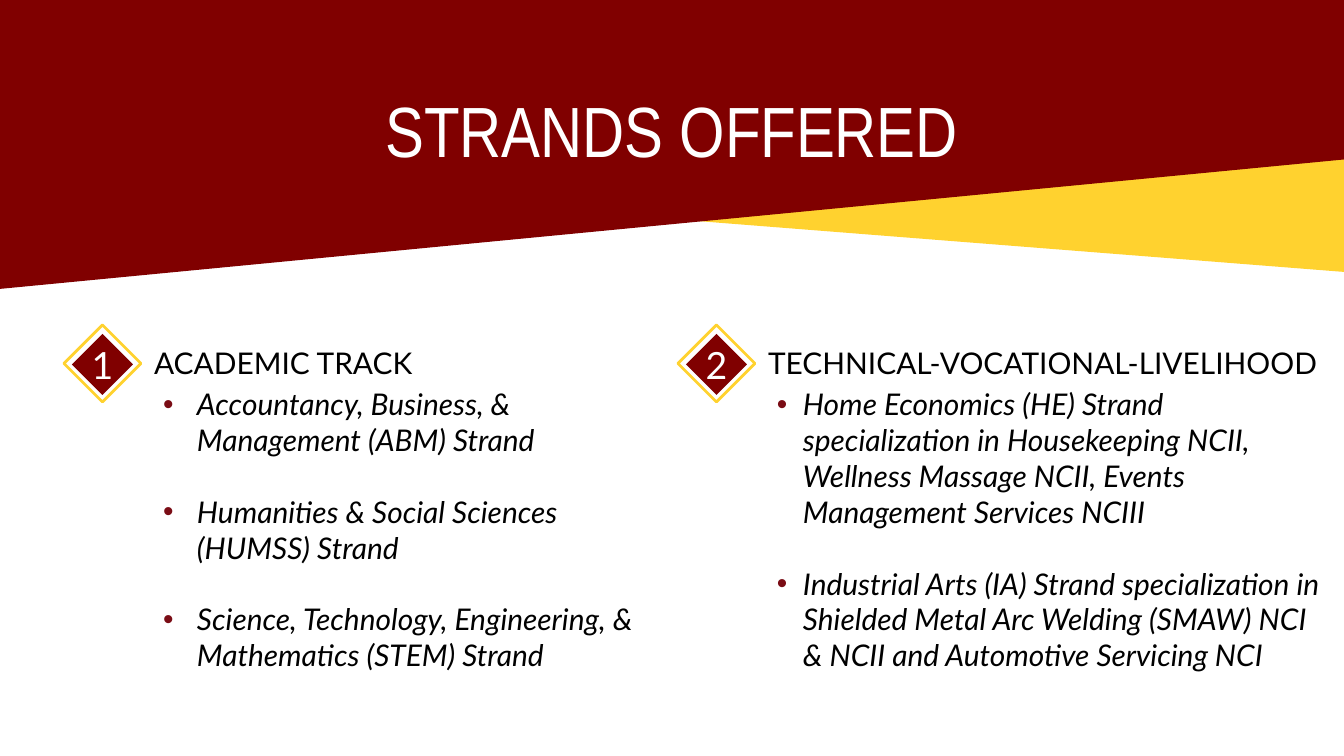
"""Build the Strands Offered slide with two numbered tracks."""
from lxml import etree
from pptx import Presentation
from pptx.dml.color import RGBColor
from pptx.enum.shapes import MSO_SHAPE
from pptx.enum.text import MSO_ANCHOR, MSO_AUTO_SIZE, PP_ALIGN
from pptx.oxml.ns import qn
from pptx.util import Emu, Pt

RECTANGLE, DIAMOND = MSO_SHAPE.RECTANGLE, MSO_SHAPE.DIAMOND
CENTER, LEFT = PP_ALIGN.CENTER, PP_ALIGN.LEFT
TOP, NO_FIT = MSO_ANCHOR.TOP, MSO_AUTO_SIZE.NONE
SCALE = 914400 / 67.2
MAROON, GOLD, WHITE, BLACK, BULLET = "800000", "FFD22F", "FFFFFF", "000000", "7A0C15"

TITLE = "STRANDS OFFERED"
TRACKS = [
    {"left": 64, "width": 514, "indent": 46, "hang": 34, "heading": "ACADEMIC TRACK",
     "strands": ["Accountancy, Business, & Management (ABM) Strand",
                 "Humanities & Social Sciences (HUMSS) Strand",
                 "Science, Technology, Engineering, & Mathematics (STEM) Strand"]},
    {"left": 678, "width": 558, "indent": 38, "hang": 26,
     "heading": "TECHNICAL-VOCATIONAL-LIVELIHOOD",
     "strands": ["Home Economics (HE) Strand specialization in Housekeeping NCII, "
                 "Wellness Massage NCII, Events Management Services NCIII",
                 "Industrial Arts (IA) Strand specialization in Shielded Metal Arc "
                 "Welding (SMAW) NCI & NCII and Automotive Servicing NCI"]},
]
BANDS = [((-64, -231, 1794, 462), 4.5, GOLD), ((-172, -244, 1794, 462), 354.5, MAROON)]

TITLE_STYLE = {"name": "Arial Narrow", "size": Pt(76.2), "bold": False}
HEADING_STYLE = {"name": "Lato", "size": Pt(32), "bold": False}
STRAND_STYLE = {**HEADING_STYLE, "italic": True}
NUMBER_STYLE = {"name": "Lato", "size": Pt(40.1)}


def px(length):
    return Emu(round(length * SCALE))


def color(value):
    return RGBColor.from_string(value)


def place(box, area):
    for name, length in zip(("left", "top", "width", "height"), area):
        setattr(box, name, px(length))


def write(box, area, texts, style, ink, align=LEFT, spacing=None, gap=0):
    place(box, area)
    frame = box.text_frame
    settings = {"margin_left": 0, "margin_top": 0, "margin_right": 0, "margin_bottom": 0,
                "word_wrap": True, "auto_size": NO_FIT, "vertical_anchor": TOP}
    for name, value in settings.items():
        setattr(frame, name, value)
    for index, text in enumerate(texts):
        para = frame.add_paragraph() if index else frame.paragraphs[0]
        para.alignment = align
        para.line_spacing = spacing or 1.0
        para.space_before = Pt(gap if index else 0)
        span = para.add_run()
        span.text = text
        for name, value in style.items():
            setattr(span.font, name, value)
        span.font.color.rgb = color(ink)
    return frame.paragraphs


def add_bullet(para, indent, hang):
    props = para._p.get_or_add_pPr()
    props.set("marL", str(px(indent)))
    props.set("indent", str(-px(hang)))
    tint = etree.SubElement(props, qn("a:buClr"))
    etree.SubElement(tint, qn("a:srgbClr"), val=BULLET)
    etree.SubElement(props, qn("a:buFont"), typeface="Arial")
    etree.SubElement(props, qn("a:buChar"), char="•")


def add_plain(page, kind, area, fill=None, line=None):
    shape = page.shapes.add_shape(kind, *map(px, area))
    shape.shadow.inherit = False
    if fill:
        shape.fill.solid()
        shape.fill.fore_color.rgb = color(fill)
    else:
        shape.fill.background()
    if line:
        shape.line.color.rgb = color(line)
        shape.line.width = Pt(3)
    else:
        shape.line.fill.background()
    return shape


def add_track(page, number, track, heading, strands):
    left, width = track["left"], track["width"]
    write(heading, (left + 90, 349, width, 31), [track["heading"]], HEADING_STYLE, BLACK,
          spacing=Pt(33.3))
    for para in write(strands, (left + 87, 386, width, 290), track["strands"],
                      STRAND_STYLE, BLACK, gap=38.4):
        add_bullet(para, track["indent"], track["hang"])
    add_plain(page, DIAMOND, (left, 325, 77, 77), line=GOLD)
    add_plain(page, DIAMOND, (left + 8, 334, 61, 61), fill=MAROON)
    label = page.shapes.add_textbox(0, 0, 0, 0)
    write(label, (left + 13, 342, 51, 44), [str(number)], NUMBER_STYLE, WHITE, CENTER, Pt(48.1))


def main():
    deck = Presentation()
    deck.slide_width, deck.slide_height = px(1344), px(756)
    page = deck.slides.add_slide(deck.slide_layouts.get_by_name("Comparison"))
    for placeholder in list(page.placeholders):
        if placeholder.placeholder_format.idx > 4:
            placeholder._element.getparent().remove(placeholder._element)
    for depth, (area, angle, fill) in enumerate(BANDS):
        band = add_plain(page, RECTANGLE, area, fill=fill)
        band.rotation = angle
        page.shapes._spTree.insert(2 + depth, band._element)
    title, *bodies = page.placeholders
    write(title, (191, 94, 962, 79), [TITLE], TITLE_STYLE, WHITE, CENTER, Pt(83))
    for number, track in enumerate(TRACKS, 1):
        add_track(page, number, track, *bodies[2 * number - 2:2 * number])
    deck.save("out.pptx")


if __name__ == "__main__":
    main()
